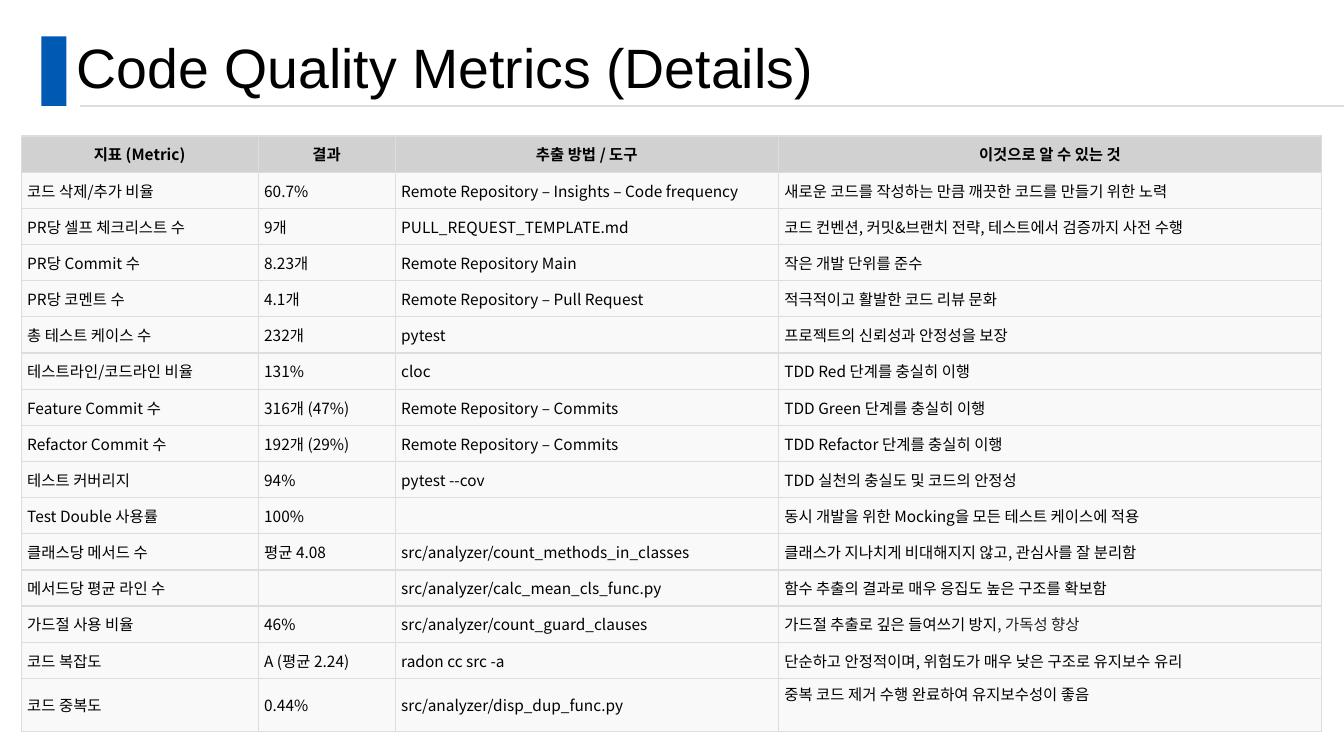
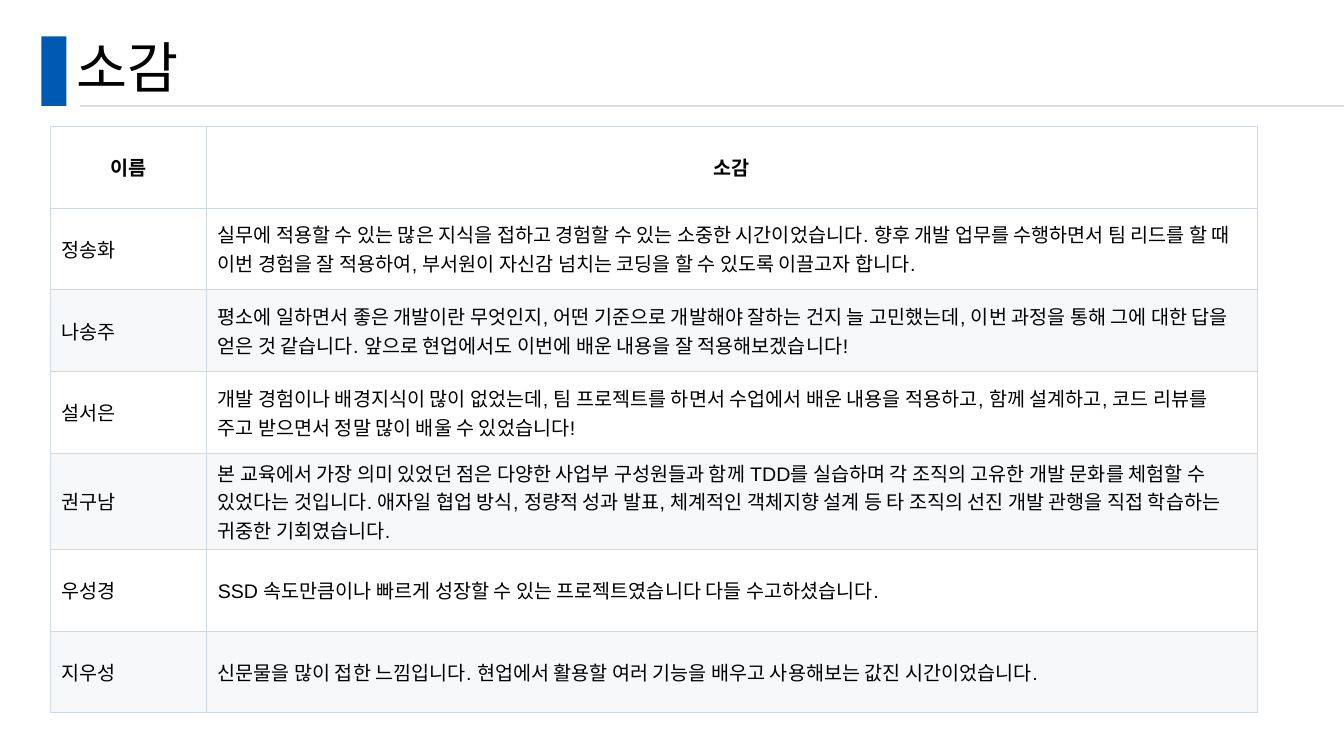
from dataclasses import dataclass

import lxml.etree
import pptx
import pptx.dml.color
import pptx.enum.shapes
import pptx.enum.text
import pptx.oxml.ns
import pptx.util

EMU_PER_PX = 9144  # 100 px to the inch
TITLE_ONLY_LAYOUT = 5

ANCHOR = pptx.enum.text.MSO_ANCHOR
ALIGN = pptx.enum.text.PP_ALIGN
qn = pptx.oxml.ns.qn


@dataclass(frozen=True)
class Theme:
    accent: str = "005AB4"
    rule: str = "DDDDDD"
    text: str = "000000"
    soft_text: str = "202122"
    title_font: str = "Arial"
    title_size: float = 39.6
    rule_width: float = 1.5


@dataclass(frozen=True)
class TableStyle:
    font: str
    size: float
    header_fill: str
    row_fills: tuple  # body fills, taken in turn
    border: str
    border_width: float
    inset_x: int
    inset_y: int


THEME = Theme()
METRICS_STYLE = TableStyle("Noto Sans CJK KR", 11, "D1D1D1", ("F9F9F9",),
                           THEME.rule, 1, 6, 4)
COMMENTS_STYLE = TableStyle("Arial", 14, "FFFFFF", ("FFFFFF", "F6F8FA"),
                            "D1D9E0", 0.48, 11, 5)

METRICS = [
    ("지표 (Metric)", "결과", "추출 방법 / 도구", "이것으로 알 수 있는 것"),
    ("코드 삭제/추가 비율", "60.7%", "Remote Repository – Insights – Code frequency",
     "새로운 코드를 작성하는 만큼 깨끗한 코드를 만들기 위한 노력"),
    ("PR당 셀프 체크리스트 수", "9개", "PULL_REQUEST_TEMPLATE.md",
     "코드 컨벤션, 커밋&브랜치 전략, 테스트에서 검증까지 사전 수행"),
    ("PR당 Commit 수", "8.23개", "Remote Repository Main", "작은 개발 단위를 준수"),
    ("PR당 코멘트 수", "4.1개", "Remote Repository – Pull Request",
     "적극적이고 활발한 코드 리뷰 문화"),
    ("총 테스트 케이스 수", "232개", "pytest", "프로젝트의 신뢰성과 안정성을 보장"),
    ("테스트라인/코드라인 비율", "131%", "cloc", "TDD Red 단계를 충실히 이행"),
    ("Feature Commit 수", "316개 (47%)", "Remote Repository – Commits",
     "TDD Green 단계를 충실히 이행"),
    ("Refactor Commit 수", "192개 (29%)", "Remote Repository – Commits",
     "TDD Refactor 단계를 충실히 이행"),
    ("테스트 커버리지", "94%", "pytest --cov", "TDD 실천의 충실도 및 코드의 안정성"),
    ("Test Double 사용률", "100%", "",
     "동시 개발을 위한 Mocking을 모든 테스트 케이스에 적용"),
    ("클래스당 메서드 수", "평균 4.08", "src/analyzer/count_methods_in_classes",
     "클래스가 지나치게 비대해지지 않고, 관심사를 잘 분리함"),
    ("메서드당 평균 라인 수", "", "src/analyzer/calc_mean_cls_func.py",
     "함수 추출의 결과로 매우 응집도 높은 구조를 확보함"),
    ("가드절 사용 비율", "46%", "src/analyzer/count_guard_clauses",
     "가드절 추출로 깊은 들여쓰기 방지"),
    ("코드 복잡도", "A (평균 2.24)", "radon cc src -a",
     "단순하고 안정적이며, 위험도가 매우 낮은 구조로 유지보수 유리"),
    ("코드 중복도", "0.44%", "src/analyzer/disp_dup_func.py",
     "중복 코드 제거 수행 완료하여 유지보수성이 좋음"),
]
GUARD_CLAUSE_ROW = 13

COMMENTS = [
    ("이름", "소감"),
    ("정송화", "실무에 적용할 수 있는 많은 지식을 접하고 경험할 수 있는 소중한 시간이었습니다. "
     "향후 개발 업무를 수행하면서 팀 리드를 할 때 이번 경험을 잘 적용하여, "
     "부서원이 자신감 넘치는 코딩을 할 수 있도록 이끌고자 합니다."),
    ("나송주", "평소에 일하면서 좋은 개발이란 무엇인지, 어떤 기준으로 개발해야 잘하는 건지 "
     "늘 고민했는데, 이번 과정을 통해 그에 대한 답을 얻은 것 같습니다. "
     "앞으로 현업에서도 이번에 배운 내용을 잘 적용해보겠습니다!"),
    ("설서은", "개발 경험이나 배경지식이 많이 없었는데, 팀 프로젝트를 하면서 수업에서 배운 내용을 "
     "적용하고, 함께 설계하고, 코드 리뷰를 주고 받으면서 정말 많이 배울 수 있었습니다!"),
    ("권구남", "본 교육에서 가장 의미 있었던 점은 다양한 사업부 구성원들과 함께 TDD를 실습하며 "
     "각 조직의 고유한 개발 문화를 체험할 수 있었다는 것입니다. 애자일 협업 방식, "
     "정량적 성과 발표, 체계적인 객체지향 설계 등 타 조직의 선진 개발 관행을 직접 "
     "학습하는 귀중한 기회였습니다."),
    ("우성경", "SSD 속도만큼이나 빠르게 성장할 수 있는 프로젝트였습니다 다들 수고하셨습니다."),
    ("지우성", "신문물을 많이 접한 느낌입니다. 현업에서 활용할 여러 기능을 배우고 "
     "사용해보는 값진 시간이었습니다."),
]


def px(length):
    return pptx.util.Emu(length * EMU_PER_PX)


def rgb(color):
    return pptx.dml.color.RGBColor.from_string(color)


def set_font(font, name, size, color, bold=False):
    font.name = name
    font.size = pptx.util.Pt(size)
    font.color.rgb = rgb(color)
    font.bold = bold


# Shared parts: the accent bar and the rule under the title
def decorate_layout(layout, slide):
    """Draw the title band on a slide and move it to the layout."""
    bar = slide.shapes.add_shape(pptx.enum.shapes.MSO_SHAPE.RECTANGLE,
                                 px(41), px(36), px(25), px(69))
    bar.shadow.inherit = False
    bar.fill.solid()
    bar.fill.fore_color.rgb = rgb(THEME.accent)
    bar.line.fill.background()

    rule = slide.shapes.add_connector(pptx.enum.shapes.MSO_CONNECTOR.STRAIGHT,
                                      px(79), px(105), px(1333), px(105))
    rule.line.color.rgb = rgb(THEME.rule)
    rule.line.width = pptx.util.Pt(THEME.rule_width)
    lxml.etree.SubElement(rule._element.spPr, qn("a:effectLst"))

    for shape in (bar, rule):
        layout.shapes._spTree.append(shape._element)


def add_titled_slide(presentation, text):
    slide = presentation.slides.add_slide(presentation.slide_layouts[TITLE_ONLY_LAYOUT])
    title = slide.shapes.title
    title.left, title.top, title.width, title.height = px(66), px(34), px(1150), px(71)
    frame = title.text_frame
    frame.text = text
    frame.word_wrap = True
    frame.auto_size = pptx.enum.text.MSO_AUTO_SIZE.NONE
    frame.vertical_anchor = ANCHOR.MIDDLE
    paragraph = frame.paragraphs[0]
    paragraph.alignment = ALIGN.LEFT
    paragraph.line_spacing = 0.9
    set_font(paragraph.font, THEME.title_font, THEME.title_size, THEME.text)
    return slide


# Tables
def set_borders(cell, color, width):
    properties = cell._tc.get_or_add_tcPr()
    for index, side in enumerate(("a:lnL", "a:lnR", "a:lnT", "a:lnB")):
        line = lxml.etree.Element(qn(side), w=str(pptx.util.Pt(width)))
        fill = lxml.etree.SubElement(line, qn("a:solidFill"))
        lxml.etree.SubElement(fill, qn("a:srgbClr"), val=color)
        properties.insert(index, line)


def format_cell(cell, text, style, fill, is_header):
    cell.fill.solid()
    cell.fill.fore_color.rgb = rgb(fill)
    set_borders(cell, style.border, style.border_width)
    cell.margin_left = cell.margin_right = px(style.inset_x)
    cell.margin_top = cell.margin_bottom = px(style.inset_y)
    cell.vertical_anchor = ANCHOR.MIDDLE
    cell.text = text
    paragraph = cell.text_frame.paragraphs[0]
    paragraph.alignment = ALIGN.CENTER if is_header else ALIGN.LEFT
    set_font(paragraph.font, style.font, style.size, THEME.text, is_header)


def add_styled_table(slide, rows, style, left, top, widths, height):
    """Add a table whose rows share the height equally."""
    table = slide.shapes.add_table(len(rows), len(widths), px(left), px(top),
                                   px(sum(widths)), px(height)).table
    table.first_row = table.horz_banding = False
    for column, width in zip(table.columns, widths):
        column.width = px(width)
    for row_index, texts in enumerate(rows):
        is_header = row_index == 0
        fill = (style.header_fill if is_header
                else style.row_fills[(row_index - 1) % len(style.row_fills)])
        for column_index, text in enumerate(texts):
            format_cell(table.cell(row_index, column_index), text, style, fill, is_header)
    return table


# Slides
def build_metrics(slide):
    table = add_styled_table(slide, METRICS, METRICS_STYLE, 21, 135,
                             (235, 136, 380, 539), 574)
    last_row = len(METRICS) - 1
    table.rows[last_row].height = px(53)
    table.cell(last_row, 3).vertical_anchor = ANCHOR.TOP
    run = table.cell(GUARD_CLAUSE_ROW, 3).text_frame.paragraphs[0].add_run()
    run.text = ", 가독성 향상"
    run.font.color.rgb = rgb(THEME.soft_text)


def build_comments(slide):
    add_styled_table(slide, COMMENTS, COMMENTS_STYLE, 50, 125, (155, 1042), 568)


def main():
    presentation = pptx.Presentation()
    presentation.slide_width, presentation.slide_height = px(1333), px(750)

    metrics_slide = add_titled_slide(presentation, "Code Quality Metrics (Details)")
    decorate_layout(metrics_slide.slide_layout, metrics_slide)
    build_metrics(metrics_slide)
    build_comments(add_titled_slide(presentation, "소감"))

    presentation.save("out.pptx")


if __name__ == "__main__":
    main()
